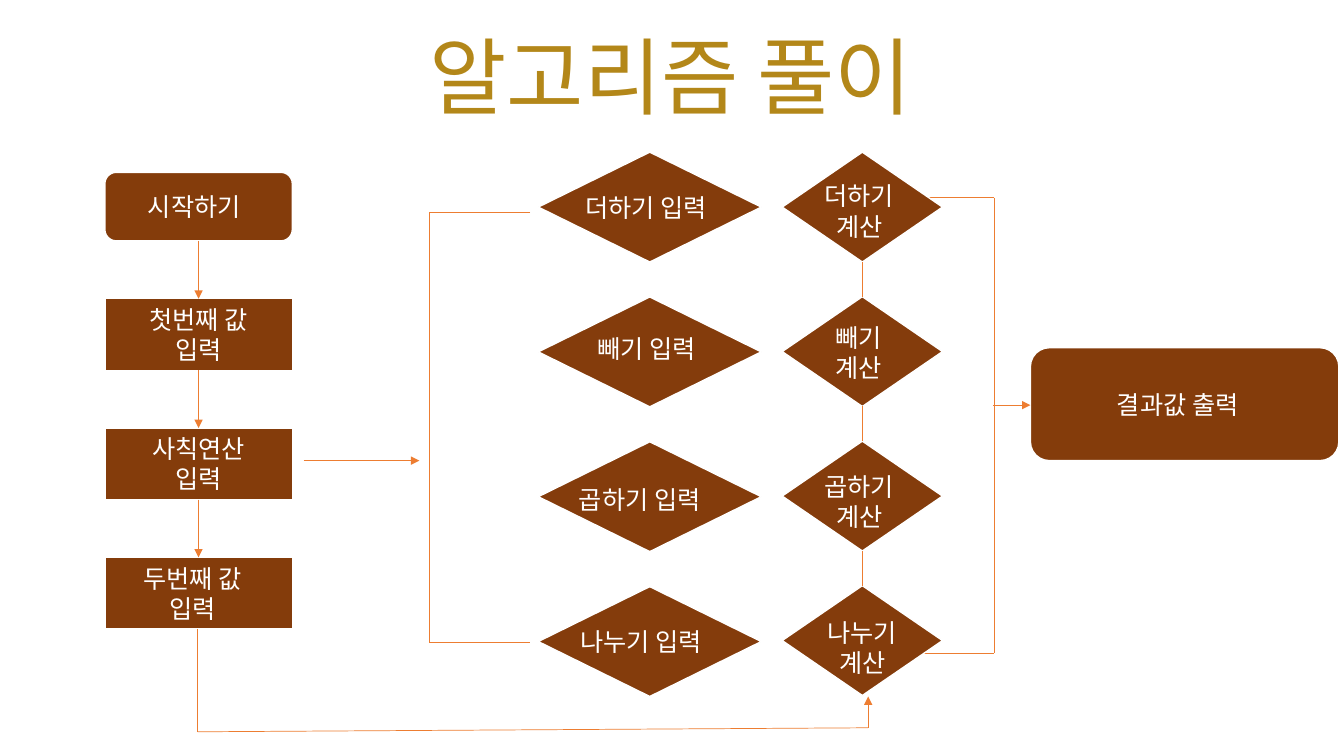
from dataclasses import dataclass
from itertools import pairwise

from lxml import etree
from pptx import Presentation
from pptx.dml.color import RGBColor
from pptx.enum.shapes import MSO_CONNECTOR, MSO_SHAPE
from pptx.enum.text import MSO_ANCHOR, MSO_AUTO_SIZE, PP_ALIGN
from pptx.oxml.ns import qn
from pptx.util import Inches, Pt

STRAIGHT = MSO_CONNECTOR.STRAIGHT
TERMINAL = MSO_SHAPE.FLOWCHART_ALTERNATE_PROCESS
PROCESS = MSO_SHAPE.FLOWCHART_PROCESS
DECISION = MSO_SHAPE.FLOWCHART_DECISION
TOP = MSO_ANCHOR.TOP
NO_FIT, GROW = MSO_AUTO_SIZE.NONE, MSO_AUTO_SIZE.SHAPE_TO_FIT_TEXT
LEFT, CENTER = PP_ALIGN.LEFT, PP_ALIGN.CENTER
TITLE_ONLY = 5

SLIDE_WIDTH, SLIDE_HEIGHT = Inches(13.33), Inches(7.5)
COLUMN, ROW = SLIDE_WIDTH / 100, SLIDE_HEIGHT / 100


@dataclass(frozen=True)
class Theme:
    """Colours, font and sizes of the slide."""
    font: str = "Noto Sans CJK KR"
    title: str = "B38719"
    label: str = "FFFFFF"
    outline: str = "FFFFFF"
    process: str = "843C0B"
    decision: str = "843C0C"
    flow: str = "ED7D31"
    title_size: int = 60
    label_size: int = 18
    line: float = 1
    thin_line: float = 0.5


@dataclass(frozen=True)
class Box:
    """An area measured in columns and rows, each 1/100 of the slide."""
    left: float
    top: float
    width: float
    height: float

    @property
    def right(self):
        return self.left + self.width

    @property
    def bottom(self):
        return self.top + self.height

    @property
    def center(self):
        return self.left + self.width / 2

    @property
    def middle(self):
        return self.top + self.height / 2

    def lengths(self):
        """Return left, top, width and height as slide lengths."""
        return (round(self.left * COLUMN), round(self.top * ROW),
                round(self.width * COLUMN), round(self.height * ROW))


THEME = Theme()


def write_text(frame, text, *, size, color, first=LEFT, rest=CENTER, wrap=False, fit=GROW):
    """Fill a text frame, one paragraph for each line of text."""
    frame.word_wrap, frame.auto_size = wrap, fit
    frame.vertical_anchor = TOP
    for number, line in enumerate(text.split("\n")):
        paragraph = frame.add_paragraph() if number else frame.paragraphs[0]
        paragraph.alignment = rest if number else first
        run = paragraph.add_run()
        run.text = line
        run.font.size, run.font.name = Pt(size), THEME.font
        run.font.color.rgb = RGBColor.from_string(color)
        east_asian = etree.SubElement(run.font._element, qn("a:ea"))
        east_asian.set("typeface", THEME.font)


def add_label(slide, box, text, *, shift=(0, 0), first=LEFT):
    """Centre a label on a node, moved by a shift in columns and rows."""
    lines = text.split("\n")
    inches = 0.2 + max(0.25 * len(line) - 0.16 * line.count(" ") for line in lines)
    width = Inches(inches) / COLUMN
    height = Inches(0.1 + 0.3 * len(lines)) / ROW
    area = Box(box.center - width / 2 + shift[0], box.middle - height / 2 + shift[1],
               width, height)
    write_text(slide.shapes.add_textbox(*area.lengths()).text_frame, text,
               size=THEME.label_size, color=THEME.label, first=first)


def add_node(slide, kind, box, text, **label_format):
    """Draw one flowchart node with its label."""
    node = slide.shapes.add_shape(kind, *box.lengths())
    node.shadow.inherit = False
    node.fill.solid()
    fill = THEME.decision if kind == DECISION else THEME.process
    node.fill.fore_color.rgb = RGBColor.from_string(fill)
    node.line.color.rgb = RGBColor.from_string(THEME.outline)
    node.line.width = Pt(THEME.line)
    add_label(slide, box, text, **label_format)


def add_route(slide, *points, width=THEME.thin_line, arrow=False):
    """Join points with straight lines, with an optional final arrowhead."""
    for (x1, y1), (x2, y2) in pairwise(points):
        connector = slide.shapes.add_connector(
            STRAIGHT, round(x1 * COLUMN), round(y1 * ROW), round(x2 * COLUMN), round(y2 * ROW))
        connector.line.color.rgb = RGBColor.from_string(THEME.flow)
        connector.line.width = Pt(width)
        etree.SubElement(connector._element.spPr, qn("a:effectLst"))
    if arrow:
        etree.SubElement(connector.line._get_or_add_ln(), qn("a:tailEnd")).set("type", "triangle")


def add_title(slide, box, text):
    """Place the slide title in its placeholder."""
    title = slide.shapes.title
    title.left, title.top, title.width, title.height = box.lengths()
    write_text(title.text_frame, text, size=THEME.title_size, color=THEME.title,
               wrap=True, fit=NO_FIT)


def add_input_steps(slide, box):
    """Stack the input steps down the box, joined by arrows."""
    steps = [("시작하기", TERMINAL, 9.07, LEFT), ("첫번째 값\n입력", PROCESS, 9.47, CENTER),
             ("사칙연산\n입력", PROCESS, 9.47, CENTER), ("두번째 값\n입력", PROCESS, 9.47, LEFT)]
    first_height = steps[0][2]
    pitch = (box.height - first_height) / (len(steps) - 1)
    nodes = []
    for number, (text, kind, height, first) in enumerate(steps):
        bottom = box.top + first_height + number * pitch
        node = Box(box.left, bottom - height, box.width, height)
        add_node(slide, kind, node, text, first=first)
        nodes.append(node)
    for upper, lower in pairwise(nodes):
        add_route(slide, (box.center, upper.bottom), (box.center, lower.top),
                  width=THEME.line, arrow=True)


def add_decisions(slide, box, decisions, joined=False):
    """Spread decision diamonds evenly down the box, joined if asked."""
    height = 14.53
    pitch = (box.height - height) / (len(decisions) - 1)
    nodes = [Box(box.left, box.top + number * pitch, box.width, height)
             for number in range(len(decisions))]
    for node, (text, shift, first) in zip(nodes, decisions):
        add_node(slide, DECISION, node, text, shift=shift, first=first)
    if joined:
        for upper, lower in pairwise(nodes):
            add_route(slide, (box.center, upper.bottom), (box.center, lower.top))


def add_bracket(slide, box, opens_right):
    """Draw a bracket whose spine is on the side away from its opening."""
    spine, tip = (box.left, box.right) if opens_right else (box.right, box.left)
    add_route(slide, (tip, box.top), (spine, box.top), (spine, box.bottom), (tip, box.bottom))


def add_return_route(slide, box):
    """Lead from the last step under the diagram up to the last calculation."""
    add_route(slide, (box.left, box.top), (box.left, box.bottom),
              (box.right, box.bottom - 0.53), (box.right, box.top + 8.93), arrow=True)


def add_result(slide, box, entry):
    """Draw the result node and the arrow that enters it."""
    add_node(slide, TERMINAL, box, "결과값 출력")
    add_route(slide, (box.left - entry, box.middle + 0.13), (box.left, box.middle + 0.13),
              width=THEME.thin_line, arrow=True)


def build():
    """Build and save the flowchart slide."""
    presentation = Presentation()
    presentation.slide_width, presentation.slide_height = SLIDE_WIDTH, SLIDE_HEIGHT
    slide = presentation.slides.add_slide(presentation.slide_layouts[TITLE_ONLY])
    choices = [("더하기 입력", (0.23, 0), LEFT), ("빼기 입력", (0.19, -0.4), LEFT),
               ("곱하기 입력", (-0.23, 0.4), LEFT), ("나누기 입력", (-0.15, 0), LEFT)]
    calculations = [("더하기\n계산", (0, 0.53), LEFT), ("빼기\n계산", (-0.3, 0.13), CENTER),
                    ("곱하기\n계산", (0, 0.67), LEFT), ("나누기\n계산", (0, 0.93), CENTER)]
    add_title(slide, Box(31.2, 2.53, 60.55, 14.8), "알고리즘 풀이")
    add_input_steps(slide, Box(7.8, 22.8, 13.95, 60.4))
    add_route(slide, (22.6, 60.93), (31.2, 60.93), width=THEME.line, arrow=True)
    add_bracket(slide, Box(31.95, 28.13, 7.5, 56.8), opens_right=True)
    add_decisions(slide, Box(40.05, 20.13, 16.6, 72), choices)
    add_bracket(slide, Box(66.55, 26.13, 7.4, 60.27), opens_right=False)
    add_decisions(slide, Box(58.2, 20.13, 11.93, 71.87), calculations, joined=True)
    add_return_route(slide, Box(14.7, 83.2, 49.9, 13.6))
    add_result(slide, Box(76.67, 46, 22.95, 14.93), entry=2.77)
    presentation.save("out.pptx")


build()
